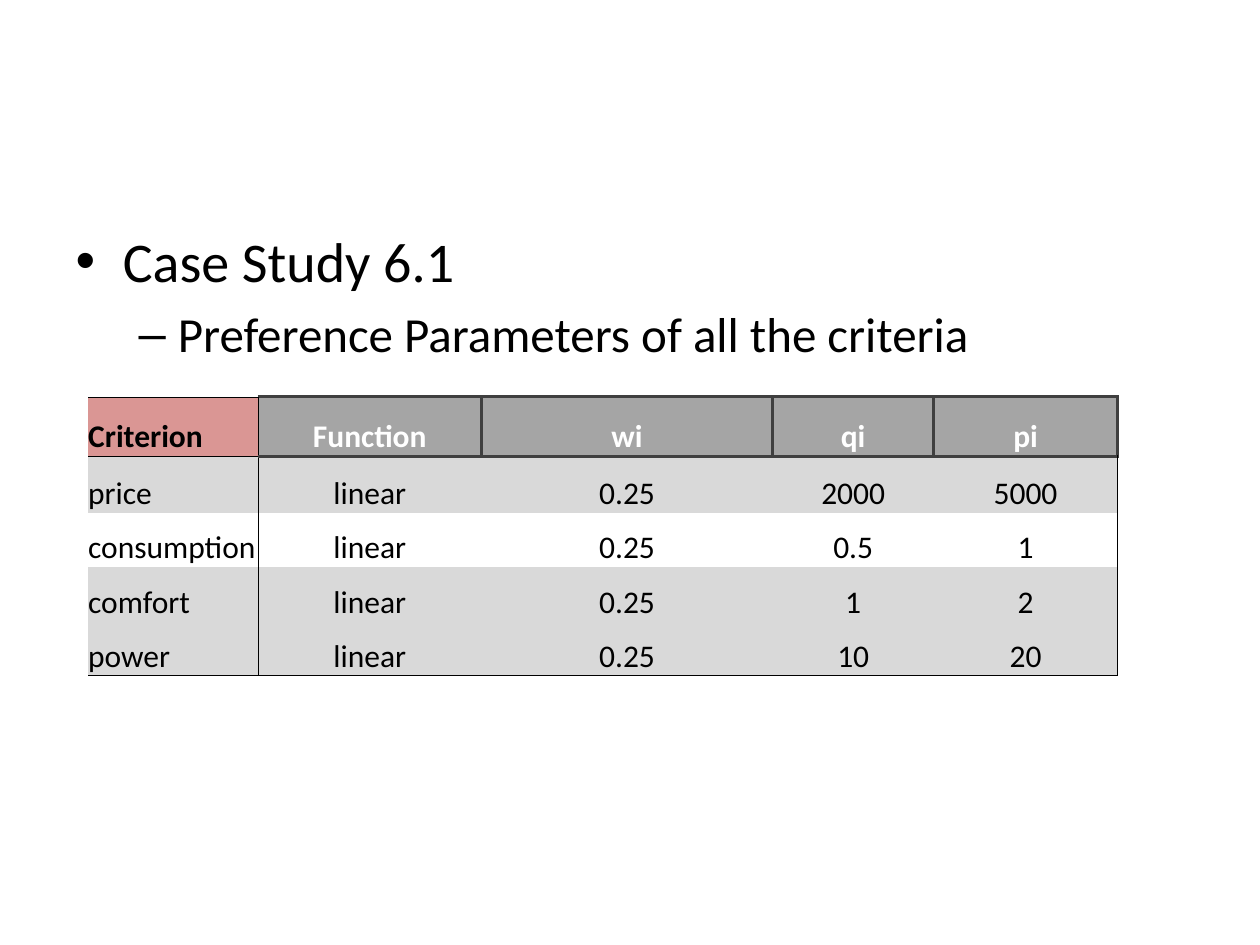
from lxml import etree
from pptx import Presentation
from pptx.dml.color import RGBColor
from pptx.enum.text import MSO_ANCHOR, PP_ALIGN
from pptx.oxml.ns import qn
from pptx.util import Pt

BOTTOM = MSO_ANCHOR.BOTTOM
LEFT, CENTER = PP_ALIGN.LEFT, PP_ALIGN.CENTER
FONT = "Calibri"

BLACK = RGBColor(0x00, 0x00, 0x00)
WHITE = RGBColor(0xFF, 0xFF, 0xFF)
ROSE = RGBColor(0xDA, 0x96, 0x94)
GREY = RGBColor(0xA5, 0xA5, 0xA5)
LIGHT_GREY = RGBColor(0xD9, 0xD9, 0xD9)
DARK_GREY = RGBColor(0x3F, 0x3F, 0x3F)

THIN = (BLACK, 0.5)
THICK = (DARK_GREY, 2)

BULLETS = [("Case Study 6.1", 0, 32),
           ("Preference Parameters of all the criteria", 1, 28)]
CRITERIA = [
    ["Criterion", "Function", "wi", "qi", "pi"],
    ["price", "linear", "0.25", "2000", "5000"],
    ["consumption", "linear", "0.25", "0.5", "1"],
    ["comfort", "linear", "0.25", "1", "2"],
    ["power", "linear", "0.25", "10", "20"],
]
COL_WIDTHS = [97.2, 127.5, 166.5, 92, 105]
ROW_HEIGHTS = [34, 32.4, 31, 31, 31]
LAST_ROW, LAST_COL = len(ROW_HEIGHTS) - 1, len(COL_WIDTHS) - 1


def add_run(p, text, size, color=BLACK, bold=False):
    r = p.add_run()
    r.text = text
    r.font.name, r.font.size, r.font.bold = FONT, Pt(size), bold
    r.font.color.rgb = color


def fill_body(s):
    body = s.placeholders[1]
    body.left, body.top, body.width, body.height = Pt(36), Pt(126), Pt(648), Pt(356.4)
    tf = body.text_frame
    for i, (text, level, size) in enumerate(BULLETS):
        p = tf.add_paragraph() if i else tf.paragraphs[0]
        p.level = level
        if i == 0:
            p.space_before = Pt(0)
        add_run(p, text, size)


def cell_borders(row, col):
    """Return the (color, width) of each drawn edge, keyed L, R, T, B."""
    if row == 0 and col > 0:
        return {"L": THIN if col == 1 else THICK, "R": THICK, "T": THICK, "B": THICK}
    edges = {}
    if col == 1:
        edges["L"] = THIN
    if col in (0, LAST_COL):
        edges["R"] = THIN
    if row == 0:
        edges["T"] = THIN
    elif row == 1:
        edges["T"] = THICK if col else THIN
    if row in (0, LAST_ROW):
        edges["B"] = THIN
    return edges


def set_borders(cell, edges):
    """Write all four edges, so that the table style draws none of its own."""
    tc_pr = cell._tc.get_or_add_tcPr()
    for side in "LRTB":
        ln = etree.SubElement(tc_pr, qn("a:ln" + side))
        if side in edges:
            color, width = edges[side]
            ln.set("w", str(Pt(width)))
            fill = etree.SubElement(ln, qn("a:solidFill"))
            etree.SubElement(fill, qn("a:srgbClr"), val=str(color))
        else:
            etree.SubElement(ln, qn("a:noFill"))


def cell_fill(row, col):
    if row == 0:
        return GREY if col else ROSE
    return None if row == 2 else LIGHT_GREY


def format_cell(cell, text, row, col):
    set_borders(cell, cell_borders(row, col))
    color = cell_fill(row, col)
    if color is None:
        cell.fill.background()
    else:
        cell.fill.solid()
        cell.fill.fore_color.rgb = color
    cell.margin_left = cell.margin_right = cell.margin_top = cell.margin_bottom = Pt(0)
    cell.vertical_anchor = BOTTOM
    p = cell.text_frame.paragraphs[0]
    p.alignment = CENTER if col else LEFT
    add_run(p, text, 18, WHITE if row == 0 and col else BLACK, row == 0)


def add_criteria_table(s):
    table = s.shapes.add_table(len(ROW_HEIGHTS), len(COL_WIDTHS), Pt(50.4), Pt(226.8),
                               Pt(sum(COL_WIDTHS)), Pt(sum(ROW_HEIGHTS))).table
    table.first_row = table.horz_banding = False
    for column, width in zip(table.columns, COL_WIDTHS):
        column.width = Pt(width)
    for row, height in zip(table.rows, ROW_HEIGHTS):
        row.height = Pt(height)
    for i, values in enumerate(CRITERIA):
        for j, text in enumerate(values):
            format_cell(table.cell(i, j), text, i, j)


def main():
    prs = Presentation()
    prs.slide_width, prs.slide_height = Pt(720), Pt(540)
    s = prs.slides.add_slide(prs.slide_layouts[1])
    title = s.shapes.title.element
    title.getparent().remove(title)
    fill_body(s)
    add_criteria_table(s)
    prs.save("out.pptx")


if __name__ == "__main__":
    main()
